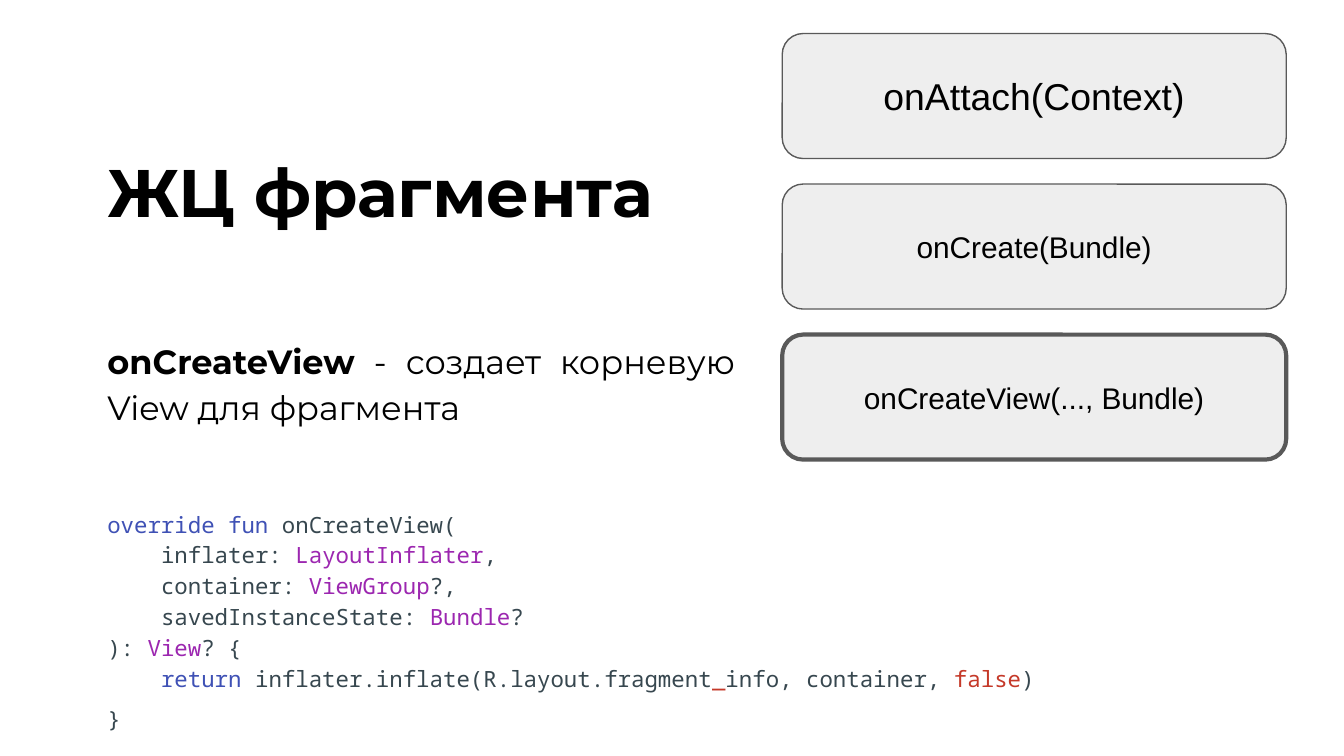
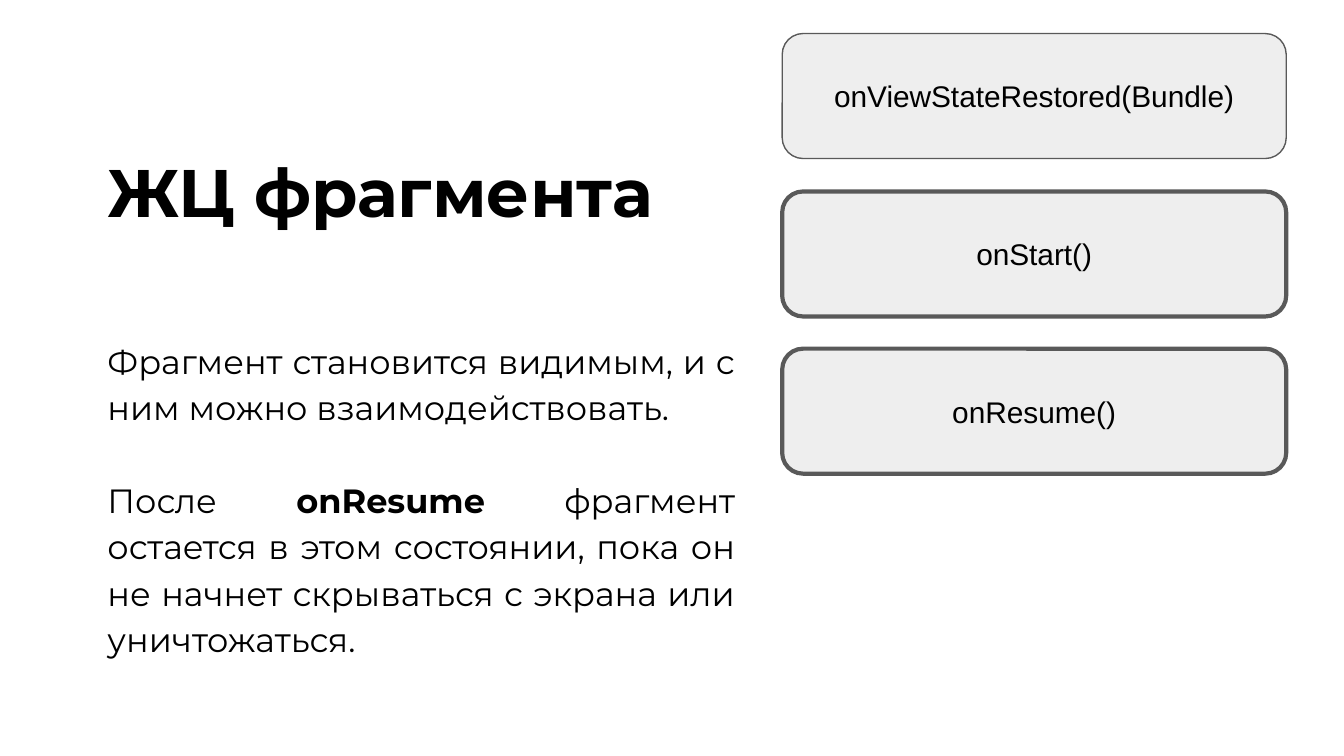
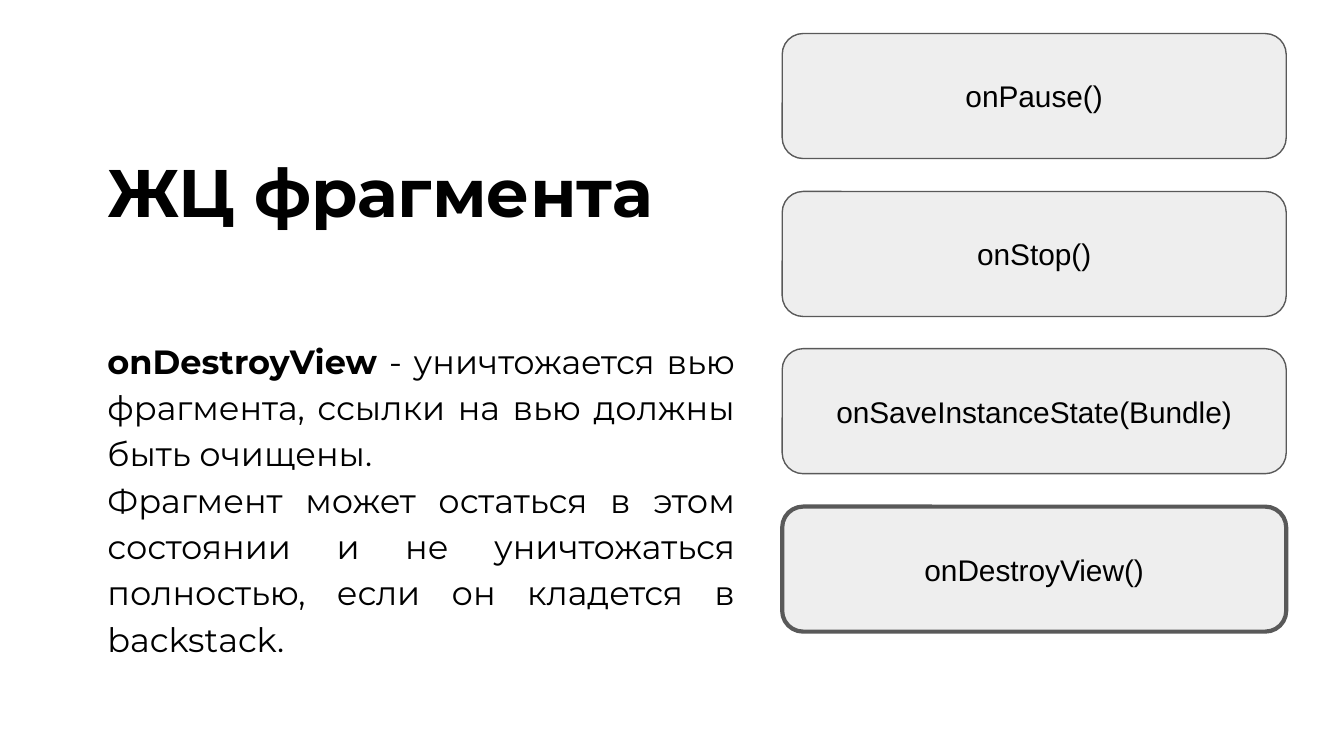
from pptx import Presentation
from pptx.dml.color import RGBColor
from pptx.enum.shapes import MSO_SHAPE
from pptx.enum.text import MSO_ANCHOR, MSO_AUTO_SIZE, PP_ALIGN
from pptx.util import Pt

PX = 4572  # EMU per px, 200 px to the inch
WIDTH, HEIGHT = 2000, 1125
TITLE_ONLY = 5
ROUNDED = MSO_SHAPE.ROUNDED_RECTANGLE
TOP, MIDDLE = MSO_ANCHOR.TOP, MSO_ANCHOR.MIDDLE
NO_FIT = MSO_AUTO_SIZE.NONE
LEFT, CENTER, JUSTIFY = PP_ALIGN.LEFT, PP_ALIGN.CENTER, PP_ALIGN.JUSTIFY

COLORS = {
    "background": "FFFFFF",
    "text": "000000",
    "box": "EEEEEE",
    "border": "595959",
    "code": "37474F",
    "keyword": "3F51B5",
    "type": "9C27B0",
    "literal": "C53929",
}
HEADING_FONT, BOX_FONT, CODE_FONT = "Montserrat", "Arial", "Noto Sans Mono"
BOX_LEFT, BOX_TOP, BOX_WIDTH, BOX_HEIGHT = 1164, 50, 750, 186
BOX_STEP = 704 / 3
INSET = 20
CODE_INDENT = 80


def rgb(name):
    return RGBColor.from_string(COLORS[name])


def prepare(tf, inset=0, anchor=TOP):
    tf.word_wrap = True
    tf.auto_size = NO_FIT
    tf.vertical_anchor = anchor
    tf.margin_left = tf.margin_top = tf.margin_right = tf.margin_bottom = inset * PX


def write(p, runs, font, size, color="text", bold=False, align=LEFT,
          spacing=1.0, before=0, indent=0):
    """Fill a paragraph with runs: plain strings or (text, overrides) pairs."""
    p.alignment = align
    p.line_spacing = spacing
    p.space_before = Pt(before)
    if indent:
        p._p.get_or_add_pPr().set("marL", str(indent * PX))
    for run in [runs] if isinstance(runs, str) else runs:
        text, own = (run, {}) if isinstance(run, str) else run
        r = p.add_run()
        r.text = text
        r.font.name = font
        r.font.size = Pt(size)
        r.font.bold = own.get("bold", bold)
        r.font.color.rgb = rgb(own.get("color", color))


class Deck:
    def __init__(self):
        self.prs = Presentation()
        self.prs.slide_width = WIDTH * PX
        self.prs.slide_height = HEIGHT * PX
        self.slide = None

    def add_slide(self, title):
        self.slide = self.prs.slides.add_slide(self.prs.slide_layouts[TITLE_ONLY])
        fill = self.slide.background.fill
        fill.solid()
        fill.fore_color.rgb = rgb("background")
        sp = self.slide.shapes.title
        sp.left, sp.top, sp.width, sp.height = (n * PX for n in (160, 224, 984, 238))
        prepare(sp.text_frame)
        write(sp.text_frame.paragraphs[0], title, HEADING_FONT, 36, bold=True)

    def text_box(self, x, y, w, h, paragraphs, inset=0, **style):
        """Add a text box from (runs, overrides) paragraphs."""
        sp = self.slide.shapes.add_textbox(x * PX, y * PX, w * PX, h * PX)
        tf = sp.text_frame
        prepare(tf, inset)
        for i, (runs, own) in enumerate(paragraphs):
            p = tf.add_paragraph() if i else tf.paragraphs[0]
            write(p, runs, **{**style, **own})

    def body(self, *paragraphs):
        self.text_box(160, 498, 934, 534, paragraphs, font=HEADING_FONT, size=18,
                      align=JUSTIFY, spacing=1.15)

    def code(self, *lines):
        self.text_box(140, 734, 1520, 360, lines, inset=INSET, font=CODE_FONT,
                      size=12, color="code", align=JUSTIFY, spacing=1.15)

    def callback_box(self, y, label, active, size):
        sp = self.slide.shapes.add_shape(
            ROUNDED, BOX_LEFT * PX, y * PX, BOX_WIDTH * PX, BOX_HEIGHT * PX)
        sp.shadow.inherit = False
        sp.fill.solid()
        sp.fill.fore_color.rgb = rgb("box")
        sp.line.color.rgb = rgb("border")
        sp.line.width = Pt(2.25 if active else 0.75)
        prepare(sp.text_frame, INSET, MIDDLE)
        write(sp.text_frame.paragraphs[0], label, BOX_FONT, size, align=CENTER)

    def callbacks(self, labels, active, step=BOX_STEP, first_size=16):
        """Stack callback boxes; those named in active get a thick border."""
        for i, label in enumerate(labels):
            self.callback_box(round(BOX_TOP + i * step), label, label in active,
                              16 if i else first_size)


def bold(text):
    return text, {"bold": True}


def keyword(text):
    return text, {"color": "keyword"}


def type_name(text):
    return text, {"color": "type"}


def literal(text):
    return text, {"color": "literal"}


def main():
    deck = Deck()
    title = "ЖЦ фрагмента"
    indented = {"indent": CODE_INDENT}

    deck.add_slide(title)
    deck.body(([bold("onCreateView"), " - создает корневую View для фрагмента"], {}))
    deck.callbacks(["onAttach(Context)", "onCreate(Bundle)", "onCreateView(..., Bundle)"],
                   active=["onCreateView(..., Bundle)"], step=224, first_size=20)
    deck.code(
        ([keyword("override fun"), " onCreateView("], {}),
        (["inflater: ", type_name("LayoutInflater"), ","], indented),
        (["container: ", type_name("ViewGroup"), "?,"], indented),
        (["savedInstanceState: ", type_name("Bundle"), "?"], indented),
        (["): ", type_name("View"), "? {"], {}),
        ([keyword("return"), " inflater.inflate(R.layout.fragment", literal("_"),
          "info, container, ", literal("false"), ")"], indented),
        ("}", {"align": LEFT, "spacing": 1.5}),
    )

    deck.add_slide(title)
    deck.body(
        ("Фрагмент становится видимым, и с ним можно взаимодействовать.", {}),
        (["После ", bold("onResume"), " фрагмент остается в этом состоянии, пока он "
          "не начнет скрываться с экрана или уничтожаться."], {"before": 25}),
    )
    deck.callbacks(["onViewStateRestored(Bundle)", "onStart()", "onResume()"],
                   active=["onStart()", "onResume()"])

    deck.add_slide(title)
    deck.body(
        ([bold("onDestroyView"), " - уничтожается вью фрагмента, ссылки на вью "
          "должны быть очищены."], {}),
        ("Фрагмент может остаться в этом состоянии и не уничтожаться полностью, "
         "если он кладется в backstack.", {}),
    )
    deck.callbacks(["onPause()", "onStop()", "onSaveInstanceState(Bundle)",
                    "onDestroyView()"], active=["onDestroyView()"])

    deck.prs.save("out.pptx")


if __name__ == "__main__":
    main()
